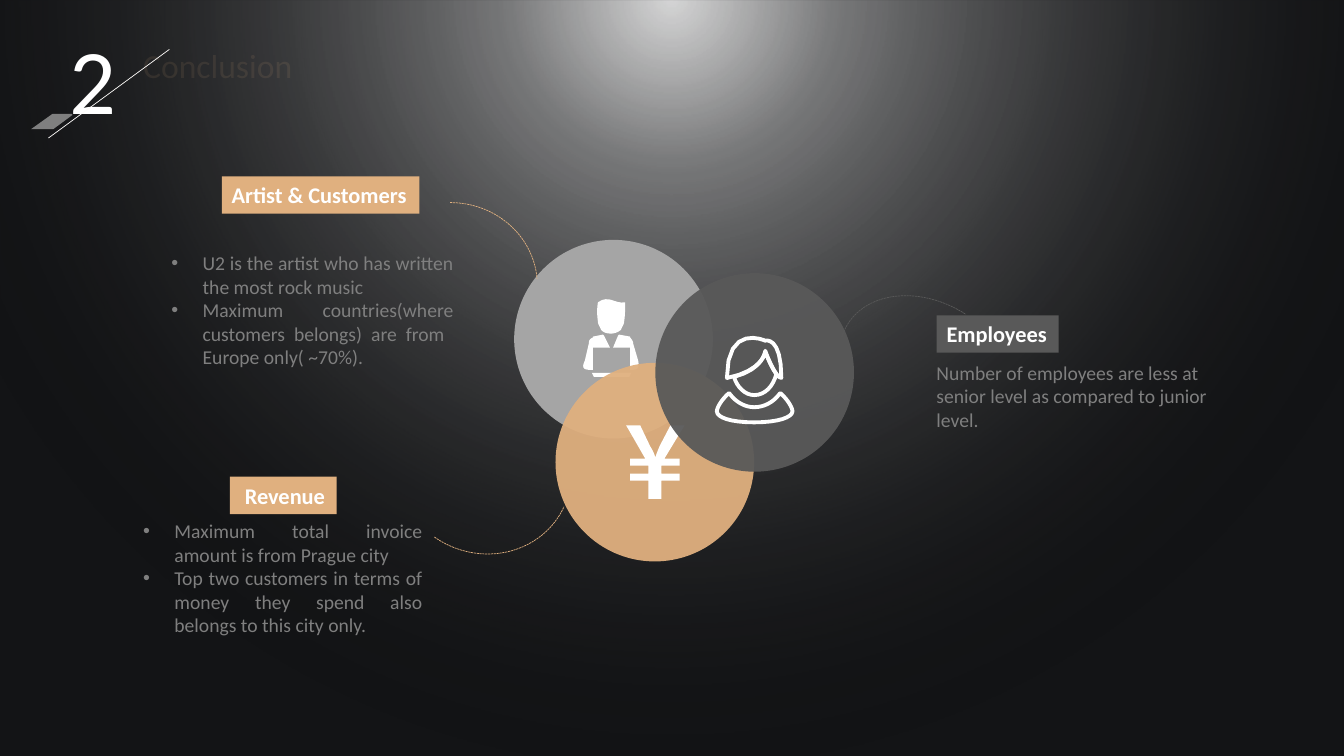
from lxml import etree
from pptx import Presentation
from pptx.dml.color import RGBColor
from pptx.enum.dml import MSO_LINE
from pptx.enum.shapes import MSO_CONNECTOR, MSO_SHAPE
from pptx.enum.text import MSO_ANCHOR, MSO_AUTO_SIZE, PP_ALIGN
from pptx.oxml import parse_xml
from pptx.oxml.ns import nsdecls, qn
from pptx.util import Inches, Pt

RECT, OVAL, ARC = MSO_SHAPE.RECTANGLE, MSO_SHAPE.OVAL, MSO_SHAPE.ARC
STRAIGHT, DASH = MSO_CONNECTOR.STRAIGHT, MSO_LINE.SQUARE_DOT
TOP, GROW = MSO_ANCHOR.TOP, MSO_AUTO_SIZE.SHAPE_TO_FIT_TEXT
LEFT, JUSTIFY = PP_ALIGN.LEFT, PP_ALIGN.JUSTIFY

COLORS = {"back": "131416", "white": "FFFFFF", "black": "000000",
          "gold": "E0B07F", "silver": "A5A5A5", "slate": "595959",
          "gray": "7F7F7F", "mid": "808080", "ivory": "FDFBF9"}
BODY = {"size": Pt(14), "name": "Calibri", "bold": False}
LABEL = {"size": Pt(16), "name": "Calibri", "bold": True}
TITLE = {"size": Pt(24), "name": "Calibri", "bold": False}
NUMBER = {"size": Pt(66), "name": "Calibri", "bold": False}
DOWN = '<a:lin ang="5400000" scaled="0"/>'
SPOTLIGHT = ('<a:path path="circle"><a:fillToRect l="50000" t="-80000" '
             'r="50000" b="180000"/></a:path>')


def rgb(name):
    return RGBColor.from_string(COLORS[name])


def gradient(stops, direction):
    """Gradient fill from (position %, colour, opacity %) stops."""
    gs = "".join(
        f'<a:gs pos="{pos * 1000}"><a:srgbClr val="{COLORS[c]}">'
        f'<a:alpha val="{a * 1000}"/></a:srgbClr></a:gs>' for pos, c, a in stops)
    return parse_xml(f'<a:gradFill {nsdecls("a")} rotWithShape="1">'
                     f'<a:gsLst>{gs}</a:gsLst>{direction}</a:gradFill>')


def flatten(start, segments, steps=8):
    """Points along lines (x, y) and cubic curves (x1, y1, x2, y2, x, y)."""
    points, (x0, y0) = [], start
    for seg in segments:
        if len(seg) == 6:
            x1, y1, x2, y2, x3, y3 = seg
            for i in range(1, steps):
                t = i / steps
                w = ((1 - t) ** 3, 3 * t * (1 - t) ** 2, 3 * t * t * (1 - t), t ** 3)
                points.append((sum(a * b for a, b in zip(w, (x0, x1, x2, x3))),
                               sum(a * b for a, b in zip(w, (y0, y1, y2, y3)))))
        x0, y0 = seg[-2:]
        points.append((x0, y0))
    return points


class Deck:
    def __init__(self):
        self.prs = Presentation()
        self.prs.slide_width, self.prs.slide_height = Inches(13.33), Inches(7.5)
        self.s = self.prs.slides.add_slide(self.prs.slide_layouts[3])
        fill = self.s.background.fill
        fill.solid()
        fill.fore_color.rgb = rgb("back")

    def style(self, sp, fill=None, line=None, width=0.5, alpha=None, dash=None):
        sp.shadow.inherit = False
        if fill:
            sp.fill.solid()
            sp.fill.fore_color.rgb = rgb(fill)
        else:
            sp.fill.background()
        if alpha:
            clr = sp.element.spPr.find(".//" + qn("a:srgbClr"))
            etree.SubElement(clr, qn("a:alpha")).set("val", str(alpha * 1000))
        if line:
            sp.line.color.rgb = rgb(line)
            sp.line.width = Pt(width)
            if dash:
                sp.line.dash_style = dash
        else:
            sp.line.fill.background()
        return sp

    def shape(self, kind, box, **look):
        sp = self.s.shapes.add_shape(kind, *map(Inches, box))
        return self.style(sp, **look)

    def spotlight(self, stops):
        sp = self.shape(RECT, (0, 0, 13.33, 7.5))
        spPr = sp.element.spPr
        spPr.replace(spPr.find(qn("a:noFill")), gradient(stops, SPOTLIGHT))
        self.s.shapes.element.insert(2, sp.element)

    def arc(self, box, angles, color, rotation=0, flip=False):
        sp = self.shape(ARC, box, line=color, dash=DASH)
        sp.adjustments[0], sp.adjustments[1] = angles
        sp.rotation = rotation
        if flip:
            sp.element.spPr.find(qn("a:xfrm")).set("flipV", "1")

    def outline(self, contours, **look):
        fb = None
        for start, *segments in contours:
            x, y = map(Inches, start)
            if fb is None:
                fb = self.s.shapes.build_freeform(x, y, scale=1.0)
            else:
                fb.move_to(x, y)
            fb.add_line_segments([(Inches(a), Inches(b))
                                  for a, b in flatten(start, segments)], close=True)
        self.style(fb.convert_to_shape(), **look)

    def line(self, start, end, color):
        c = self.s.shapes.add_connector(STRAIGHT, *map(Inches, start + end))
        c.line.color.rgb, c.line.width = rgb(color), Pt(0.5)
        etree.SubElement(c.element.spPr, qn("a:effectLst"))

    def put_text(self, sp, texts, fmt, color="gray", grad=None, align=LEFT,
                 bullet=False, wrap=True):
        tf = sp.text_frame
        for name, value in {"word_wrap": wrap, "auto_size": GROW,
                            "vertical_anchor": TOP}.items():
            setattr(tf, name, value)
        for i, text in enumerate(texts):
            p = tf.add_paragraph() if i else tf.paragraphs[0]
            p.alignment, p.space_before = align, Pt(0)
            r = p.add_run()
            r.text = text
            for name, value in fmt.items():
                setattr(r.font, name, value)
            if grad:
                r.font.fill.background()
                rPr = r._r.get_or_add_rPr()
                rPr.replace(rPr.find(qn("a:noFill")), gradient(grad, DOWN))
            else:
                r.font.color.rgb = rgb(color)
            if bullet:
                pPr = p._p.get_or_add_pPr()
                pPr.set("marL", str(Inches(0.31)))
                pPr.set("indent", str(-Inches(0.31)))
                etree.SubElement(pPr, qn("a:buFont")).set("typeface", "Arial")
                etree.SubElement(pPr, qn("a:buChar")).set("char", "•")

    def placeholder(self, index, box, texts, fmt, **look):
        sp = self.s.placeholders[index]
        sp.left, sp.top, sp.width, sp.height = map(Inches, box)
        self.put_text(sp, texts, fmt, **look)

    def text(self, box, text, fmt, **look):
        self.put_text(self.s.shapes.add_textbox(*map(Inches, box)), [text], fmt, **look)

    def label(self, box, text, fill):
        self.put_text(self.shape(RECT, box, fill=fill), [text], LABEL,
                      color="white", wrap=False)


LAPTOP_USER = [
    [(5.93, 3.19), (5.92, 3.12, 5.92, 3.06, 5.93, 3), (6.04, 2.92, 6.1, 3.02, 6.2, 3),
     (6.2, 3.06, 6.2, 3.14, 6.19, 3.19), (6.19, 3.22, 6.17, 3.24, 6.16, 3.27),
     (6.13, 3.3, 6.09, 3.31, 6.06, 3.31), (6.02, 3.31, 5.98, 3.3, 5.96, 3.27),
     (5.95, 3.24, 5.93, 3.22, 5.93, 3.19)],
    [(5.87, 3.7), (6.26, 3.7), (6.24, 3.74), (5.89, 3.74)],
    [(6.28, 3.41), (6.33, 3.58), (6.34, 3.64, 6.33, 3.67, 6.27, 3.67), (6.25, 3.67),
     (6.25, 3.45), (6.08, 3.45), (6.13, 3.33), (6.14, 3.32), (6.25, 3.34),
     (6.25, 3.35), (6.27, 3.37, 6.28, 3.39, 6.28, 3.41)],
    [(5.88, 3.67), (5.85, 3.67), (5.78, 3.67, 5.77, 3.64, 5.8, 3.58), (5.84, 3.41),
     (5.84, 3.38, 5.85, 3.36, 5.88, 3.35), (5.88, 3.34), (5.98, 3.32), (5.99, 3.33),
     (6.05, 3.45), (5.88, 3.45)]]
YEN = [[(6.74, 4.55), (6.74, 4.62), (6.56, 4.62), (6.56, 4.7), (6.74, 4.7),
        (6.74, 4.77), (6.56, 4.77), (6.56, 4.95), (6.43, 4.95), (6.43, 4.77),
        (6.25, 4.77), (6.25, 4.7), (6.43, 4.7), (6.43, 4.62), (6.25, 4.62),
        (6.25, 4.55), (6.4, 4.55), (6.21, 4.22), (6.35, 4.22), (6.45, 4.43),
        (6.47, 4.46, 6.49, 4.5, 6.5, 4.54), (6.51, 4.5, 6.53, 4.46, 6.54, 4.43),
        (6.65, 4.22), (6.79, 4.22), (6.59, 4.55)]]
SHOULDERS = [(7.74, 3.9), (7.73, 3.91), (7.67, 3.99, 7.58, 4.04, 7.48, 4.04),
             (7.39, 4.04, 7.3, 3.99, 7.24, 3.91), (7.23, 3.9),
             (7.15, 3.97, 7.11, 4.05, 7.11, 4.08), (7.11, 4.14, 7.24, 4.19, 7.48, 4.19),
             (7.72, 4.19, 7.86, 4.14, 7.86, 4.08), (7.86, 4.05, 7.82, 3.97, 7.74, 3.9)]
FACE = [(7.59, 3.48), (7.59, 3.48, 7.58, 3.66, 7.28, 3.74),
        (7.31, 3.84, 7.39, 3.92, 7.48, 3.92), (7.59, 3.92, 7.67, 3.83, 7.7, 3.71),
        (7.64, 3.63, 7.59, 3.48, 7.59, 3.48)]
HAIR = [(7.21, 3.75), (7.57, 3.68, 7.59, 3.49, 7.59, 3.49),
        (7.59, 3.49, 7.69, 3.75, 7.75, 3.75), (7.75, 3.33, 7.59, 3.38, 7.59, 3.38),
        (7.59, 3.38, 7.21, 3.2, 7.21, 3.75)]
SLANT = [[(0.71, 1.13), (0.72, 1.14), (0.53, 1.28), (0.31, 1.28), (0.52, 1.13)]]


def main():
    d = Deck()
    d.spotlight([(0, "white", 82), (21, "white", 43), (100, "black", 0)])

    # Title and bullet lists
    d.placeholder(0, (1.32, 0.4, 8.38, 0.5), ["Conclusion"], TITLE,
                  grad=[(1, "gold", 10), (75, "gold", 73)])
    d.placeholder(1, (1.6, 2.44, 3, 1.28), [
        "U2 is the artist who has written the most rock music",
        "Maximum countries(where customers belongs) are from  Europe only( ~70%).",
    ], BODY, align=JUSTIFY, bullet=True)
    d.placeholder(2, (1.32, 5.1, 2.97, 1.28), [
        "Maximum total invoice amount is from Prague city ",
        "Top two customers in terms of money they spend also belongs to this city only.",
    ], BODY, align=JUSTIFY, bullet=True)

    # Labels and employee note
    d.label((9.29, 3.13, 1.21, 0.37), "Employees", "slate")
    d.label((2.28, 4.73, 1.06, 0.37), " Revenue", "gold")
    d.label((2.2, 1.75, 1.96, 0.37), "Artist & Customers", "gold")
    d.text((9.19, 3.53, 3.14, 0.81), "Number of employees are less at senior level "
           "as compared to junior level.", BODY)

    # Overlapping circles with icons
    d.shape(OVAL, (5.1, 2.38, 1.97, 1.97), fill="silver")
    d.outline(LAPTOP_USER, fill="white")
    d.shape(OVAL, (5.51, 3.6, 1.97, 1.97), fill="gold", alpha=95)
    d.arc((8.49, 2.78, 1.4, 1.84), (156.7, 1.27), "slate", rotation=301.6)
    d.arc((3.6, 2.01, 1.73, 1.64), (162, 213.5), "gold")
    d.arc((3.94, 3.86, 1.73, 1.63), (151.55, 213.5), "gold", rotation=19.8, flip=True)
    d.outline(YEN, fill="white")
    d.shape(OVAL, (6.5, 2.71, 1.97, 1.97), fill="slate", alpha=95)
    for part in (SHOULDERS, FACE, HAIR):
        d.outline([part], line="white", width=2.75)

    # Section number
    d.text((0.59, 0.17, 0.62, 1.21), "2", NUMBER,
           grad=[(36, "white", 100), (70, "mid", 0)])
    d.line((1.68, 0.49), (0.48, 1.37), "ivory")
    d.outline(SLANT, fill="gray")
    d.prs.save("out.pptx")


if __name__ == "__main__":
    main()
